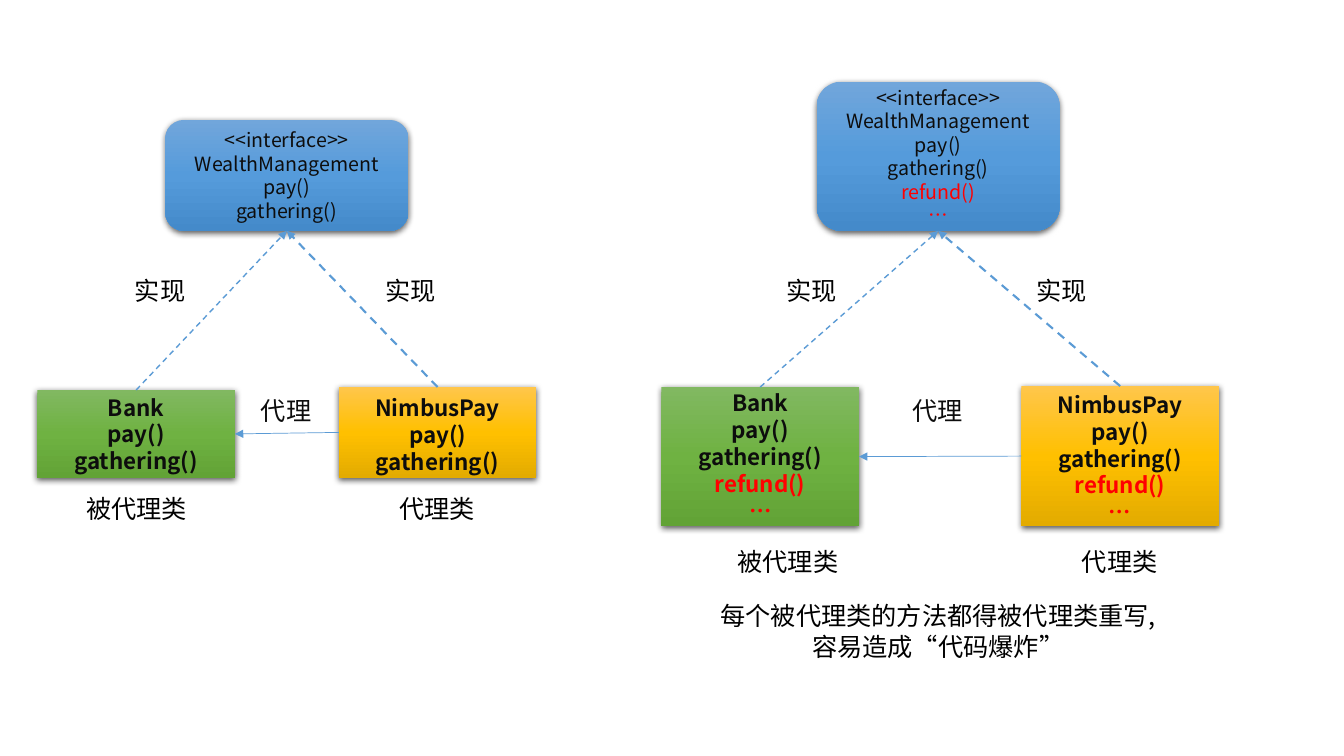
from copy import deepcopy

from lxml import etree
from pptx import Presentation
from pptx import util as u
from pptx.dml.color import RGBColor
from pptx.enum import dml, shapes, text
from pptx.oxml.ns import qn

COLS, ROWS = 133.3, 75
CELL = u.Inches(0.1)
FONT = "Noto Sans CJK SC"
INK, BLACK, RED, BLUE = "0D0D0D", "000000", "FF0000", "5B9BD5"
SKY = ("71A6DB", "559BDB", "448ACA")
GREEN = ("81B861", "6FB242", "62A336")
AMBER = ("FFC64B", "FFC000", "E3AB00")
CENTER, LEFT = text.PP_ALIGN.CENTER, text.PP_ALIGN.LEFT
TOP, SIDE_LEFT, BOTTOM, SIDE_RIGHT = range(4)


def rgb(value):
    """Turn a hex string into a colour."""
    return RGBColor.from_string(value)


def grid(*cells):
    """Turn grid cells into lengths."""
    return [u.Emu(round(c * CELL)) for c in cells]


def write(tf, lines, size, bold=False, align=CENTER):
    """Write (wording, colour) lines, one paragraph each."""
    tf.word_wrap = True
    for i, (wording, color) in enumerate(lines):
        p = tf.paragraphs[0] if i == 0 else tf.add_paragraph()
        p.alignment = align
        r = p.add_run()
        r.text = wording
        r.font.size, r.font.bold, r.font.name = u.Pt(size), bold, FONT
        r.font.color.rgb = rgb(color)
        etree.SubElement(r._r.get_or_add_rPr(), qn("a:ea"), typeface=FONT)


def shade(sp, colors):
    """Fill a shape from top to bottom with three colours."""
    sp.fill.gradient()
    sp.fill.gradient_angle = 270
    stops = sp._element.spPr.find(".//" + qn("a:gsLst"))
    stops.insert(1, deepcopy(stops[0]))
    for i, (stop, color) in enumerate(zip(sp.fill.gradient_stops, colors)):
        stop.position = i / 2
        stop.color.rgb = rgb(color)


def drop_shadow(sp):
    """Give a shape a soft shadow below it."""
    sp.shadow.inherit = False
    effects = sp._element.spPr.find(qn("a:effectLst"))
    shadow = etree.SubElement(effects, qn("a:outerShdw"), blurRad=str(u.Pt(4.5)),
                              dist=str(u.Pt(1.5)), dir="5400000", rotWithShape="0")
    color = etree.SubElement(shadow, qn("a:srgbClr"), val=BLACK)
    etree.SubElement(color, qn("a:alpha"), val="63000")


def class_box(s, kind, at, colors, lines, size, bold=False, drop=0):
    """Add a shaded class box whose text sits a little lower by drop."""
    sp = s.shapes.add_shape(kind, *grid(*at))
    shade(sp, colors)
    sp.line.fill.background()
    drop_shadow(sp)
    tf = sp.text_frame
    tf.vertical_anchor = text.MSO_ANCHOR.MIDDLE
    tf.margin_top, tf.margin_bottom = grid(drop, 0)
    write(tf, lines, size, bold)
    return sp


def label(s, at, lines, color=BLACK, align=CENTER):
    """Add a plain text label."""
    sp = s.shapes.add_textbox(*grid(*at))
    write(sp.text_frame, [(line, color) for line in lines], 18, align=align)


def arrow(s, start, start_site, end, end_site, width, dashed=True):
    """Join two boxes with an arrow."""
    cn = s.shapes.add_connector(shapes.MSO_CONNECTOR.STRAIGHT, 0, 0, 0, 0)
    cn.begin_connect(start, start_site)
    cn.end_connect(end, end_site)
    cn.line.color.rgb = rgb(BLUE)
    cn.line.width = u.Pt(width)
    if dashed:
        cn.line.dash_style = dml.MSO_LINE.DASH
    etree.SubElement(cn.line._get_or_add_ln(), qn("a:tailEnd"), type="triangle")
    etree.SubElement(cn._element.spPr, qn("a:effectLst"))


def proxy_diagram(s, interface_at, bank_at, proxy_at, captions_at, extra=()):
    """Draw an interface, its target and its proxy, with arrows and labels."""
    methods = [("pay()", INK), ("gathering()", INK)] + [(m, RED) for m in extra]
    rect, rounded = shapes.MSO_SHAPE.RECTANGLE, shapes.MSO_SHAPE.ROUNDED_RECTANGLE
    heading = [("<<interface>>", INK), ("WealthManagement", INK)]
    interface = class_box(s, rounded, interface_at, SKY, heading + methods, 14)
    bank = class_box(s, rect, bank_at, GREEN, [("Bank", INK)] + methods, 16, True)
    proxy = class_box(s, rect, proxy_at, AMBER, [("NimbusPay", INK)] + methods, 16, True, 0.4)

    arrow(s, bank, TOP, interface, BOTTOM, 1)
    arrow(s, proxy, TOP, interface, BOTTOM, 1.5)
    arrow(s, proxy, SIDE_LEFT, bank, SIDE_RIGHT, 0.5, dashed=False)

    x = interface_at[0]
    label(s, (x + 8.5, 38.7, 7.5, 4), ["代理"], INK, LEFT)
    for dx in (-4, 20.8):
        label(s, (x + dx, 26.8, 12.5, 4), ["实现"], align=LEFT)
    bank_x, proxy_x, y = captions_at
    label(s, (bank_x, y, 16.5, 4), ["被代理类"])
    label(s, (proxy_x, y, 16.5, 4), ["代理类"])


def main():
    """Build the slide and save it."""
    prs = Presentation()
    prs.slide_width, prs.slide_height = grid(COLS, ROWS)
    s = prs.slides.add_slide(prs.slide_layouts[6])
    proxy_diagram(s, (16.4, 11.9, 24.1, 11), (3.7, 38.7, 19.6, 8.7),
                  (33.6, 38.4, 19.6, 9), (5.3, 35.1, 48.4))
    proxy_diagram(s, (81, 8.1, 24.1, 14.8), (65.6, 38.4, 19.6, 13.8),
                  (101.3, 38.3, 19.6, 13.9), (69.9, 102.8, 53.7),
                  ("refund()", "…"))
    label(s, (68.3, 59.1, 49.5, 7.1), ["每个被代理类的方法都得被代理类重写,".replace(",", ","),
                                       "容易造成“代码爆炸”"])
    prs.save("out.pptx")


main()
